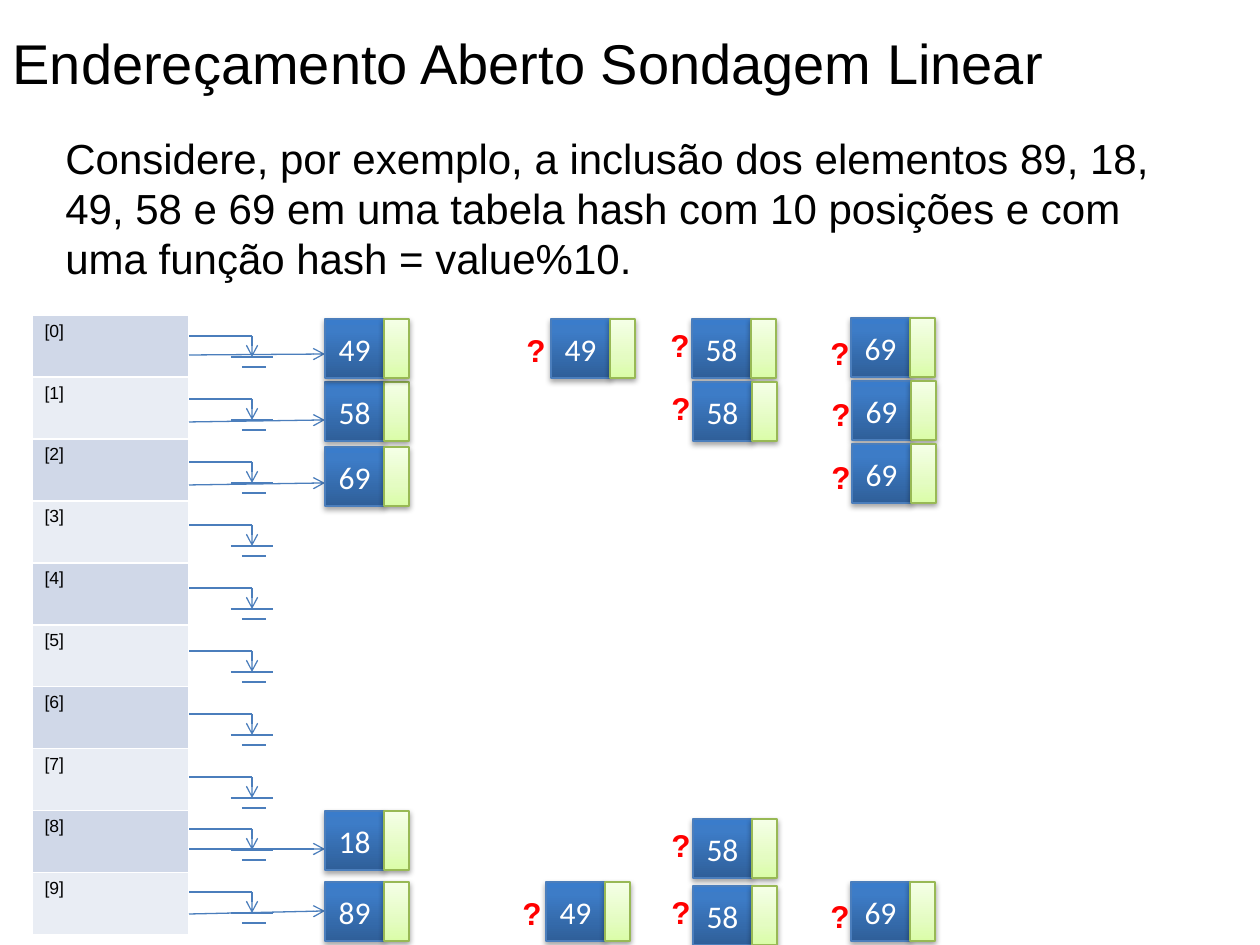
from pptx import Presentation
from pptx.dml.color import RGBColor
from pptx.enum.shapes import MSO_CONNECTOR, MSO_SHAPE
from pptx.enum.text import MSO_ANCHOR, MSO_AUTO_SIZE, PP_ALIGN
from pptx.oxml import parse_xml
from pptx.oxml.ns import nsdecls
from pptx.util import Emu, Pt

SCALE = 914400 / 126
BLACK = RGBColor(0x00, 0x00, 0x00)
WHITE = RGBColor(0xFF, 0xFF, 0xFF)
RED = RGBColor(0xFF, 0x00, 0x00)
BLUE = RGBColor(0x4B, 0x7E, 0xBC)
GREEN = RGBColor(0x98, 0xB9, 0x55)
BANDS = [RGBColor(0xD0, 0xD8, 0xE8), RGBColor(0xE9, 0xED, 0xF4)]
DARK_BLUE = RGBColor(0x2F, 0x5F, 0x99)
MID_BLUE = RGBColor(0x3D, 0x7C, 0xC7)
LIGHT_BLUE = RGBColor(0x3A, 0x7C, 0xCB)
DARK_LIME = RGBColor(0xDA, 0xFD, 0xA7)
MID_LIME = RGBColor(0xE4, 0xFC, 0xC2)
LIGHT_LIME = RGBColor(0xF5, 0xFF, 0xE7)
VALUE_STOPS = [(0, DARK_BLUE), (80, MID_BLUE), (100, LIGHT_BLUE)]
LINK_STOPS = [(0, DARK_LIME), (35, MID_LIME), (100, LIGHT_LIME)]


def px(*lengths):
    return [Emu(round(length * SCALE)) for length in lengths]


def write(frame, text, size, color, font="Arial", bold=False):
    frame.text = text
    span = frame.paragraphs[0].runs[0]
    span.font.size = Pt(size)
    span.font.name = font
    span.font.bold = bold
    span.font.color.rgb = color


deck = Presentation()
deck.slide_width, deck.slide_height = px(1260, 945)
page = deck.slides.add_slide(deck.slide_layouts[5])
shapes = page.shapes

title = shapes.title
title.left, title.top, title.width, title.height = px(0, 22, 1063, 80)
write(title.text_frame, "Endereçamento Aberto Sondagem Linear", 32, BLACK)
title.text_frame.word_wrap = False
title.text_frame.auto_size = MSO_AUTO_SIZE.NONE
title.text_frame.vertical_anchor = MSO_ANCHOR.TOP
title.text_frame.paragraphs[0].alignment = PP_ALIGN.LEFT

example = shapes.add_textbox(*px(53, 126, 1134, 165))
write(
    example.text_frame,
    "Considere, por exemplo, a inclusão dos elementos 89, 18, 49, 58 e 69 "
    "em uma tabela hash com 10 posições e com uma função hash = value%10.",
    24,
    BLACK,
)
example.text_frame.word_wrap = True

table = shapes.add_table(10, 1, *px(32, 315, 157, 620)).table
table.first_row = False
for index in range(10):
    cell = table.cell(index, 0)
    write(cell.text_frame, f"[{index}]", 10, BLACK)
    cell.fill.solid()
    cell.fill.fore_color.rgb = BANDS[index % 2]

lines = []
for index in range(10):
    top = 336 + 63 * index - (11 if index > 7 else 0)
    lines += [
        (189, top, 252, top, False),
        (252, top, 252, top + 21, True),
        (231, top + 21, 273, top + 21, False),
        (242, top + 31, 266, top + 31, False),
    ]
for start, end in [(355, 354), (422, 420), (485, 483), (849, 849), (914, 911)]:
    lines.append((189, start, 325, end, True))

for *ends, has_arrow in lines:
    line = shapes.add_connector(MSO_CONNECTOR.STRAIGHT, *px(*ends))
    line.line.color.rgb = BLUE
    line.line.width = Pt(0.75)
    if has_arrow:
        line.get_or_add_ln().append(parse_xml(f'<a:tailEnd {nsdecls("a")} type="arrow"/>'))
    line._element.spPr.append(parse_xml(f'<a:effectLst {nsdecls("a")}/>'))

stored = [(89, 325, 882), (18, 325, 811), (58, 325, 382), (69, 325, 447), (49, 325, 319)]
probes = [
    (58, 693, 819, 659, 820),
    (49, 546, 882, 510, 888),
    (69, 851, 882, 818, 891),
    (49, 551, 319, 514, 325),
    (58, 693, 886, 659, 887),
    (58, 692, 319, 658, 320),
    (58, 693, 382, 659, 383),
    (69, 851, 318, 818, 328),
    (69, 852, 381, 819, 389),
    (69, 852, 444, 819, 452),
]

for value, left, top, *mark_at in stored + probes:
    for text, x, width, stops, color, opacity, distance in [
        (str(value), left, 59, VALUE_STOPS, BLUE, 35, 23000),
        ("", left + 59, 25, LINK_STOPS, GREEN, 38, 20000),
    ]:
        box = shapes.add_shape(MSO_SHAPE.RECTANGLE, *px(x, top, width, 59))
        box.line.color.rgb = color
        box.line.width = Pt(0.75)
        stop_xml = "".join(
            f'<a:gs pos="{place * 1000}"><a:srgbClr val="{shade}"/></a:gs>'
            for place, shade in stops
        )
        box._element.spPr.insert(2, parse_xml(
            f'<a:gradFill {nsdecls("a")} rotWithShape="1"><a:gsLst>{stop_xml}</a:gsLst>'
            '<a:lin ang="16200000" scaled="0"/></a:gradFill>'
        ))
        box._element.spPr.append(parse_xml(
            f'<a:effectLst {nsdecls("a")}><a:outerShdw blurRad="40000" dist="{distance}" '
            f'dir="5400000" rotWithShape="0"><a:srgbClr val="{BLACK}">'
            f'<a:alpha val="{opacity * 1000}"/></a:srgbClr></a:outerShdw></a:effectLst>'
        ))
        if text:
            write(box.text_frame, text, 18, WHITE, "Calibri")
            box.text_frame.vertical_anchor = MSO_ANCHOR.MIDDLE
            box.text_frame.paragraphs[0].alignment = PP_ALIGN.CENTER
    if mark_at:
        mark = shapes.add_textbox(*px(*mark_at, 45, 50))
        write(mark.text_frame, "?", 18, RED, bold=True)
        mark.text_frame.word_wrap = False

deck.save("out.pptx")
